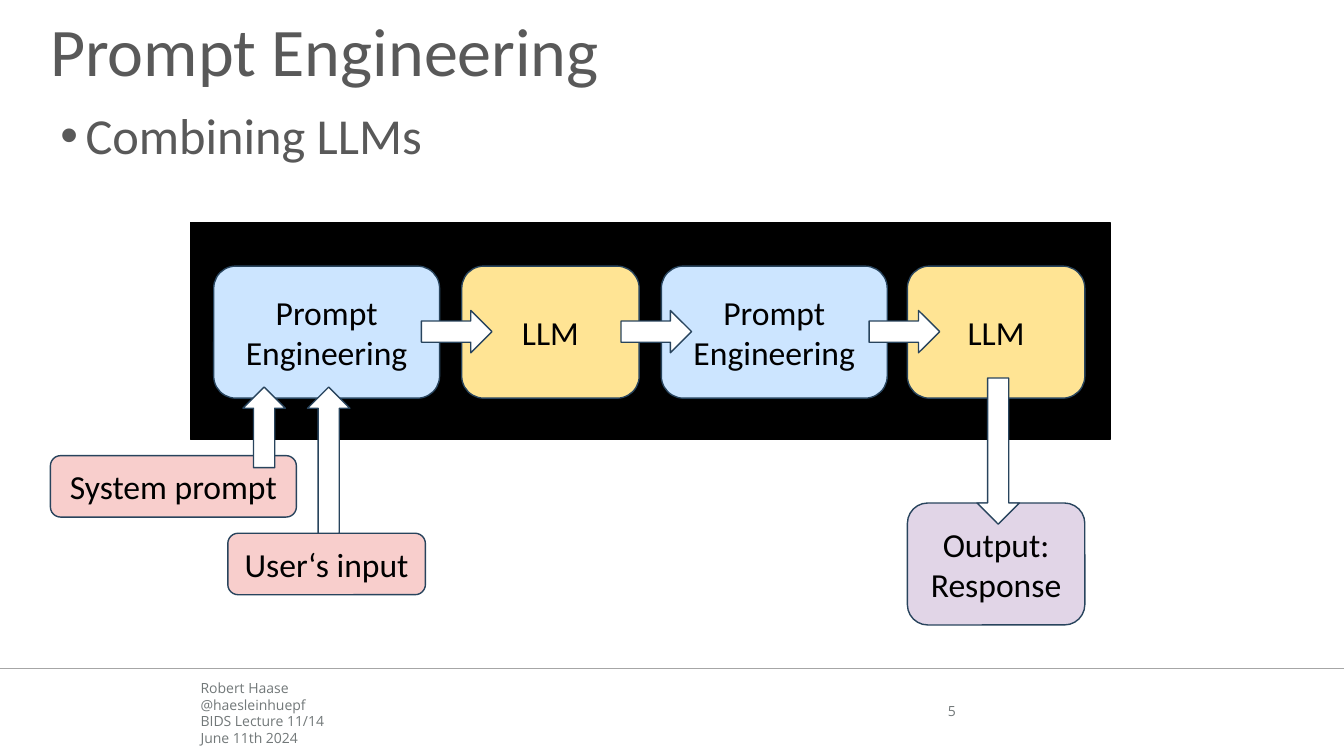
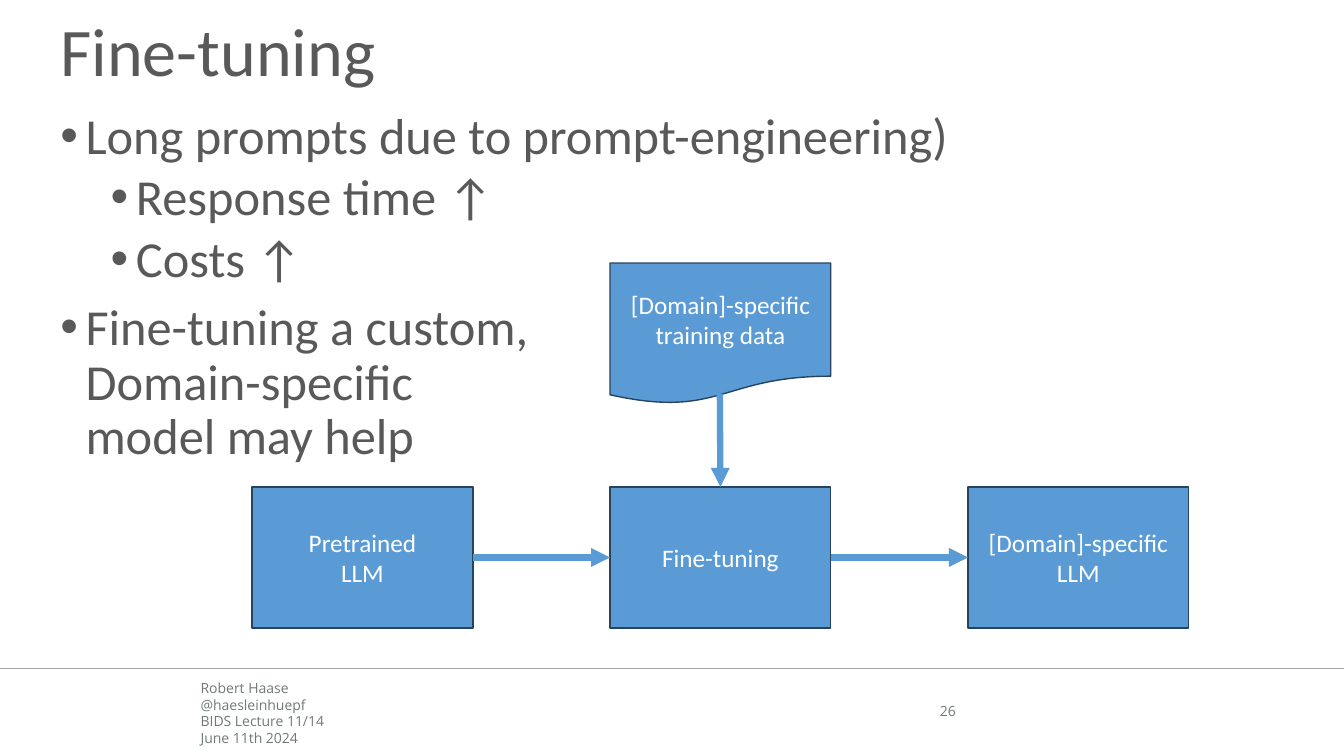
from pptx import Presentation
from pptx.dml.color import RGBColor
from pptx.enum import shapes, text
from pptx.oxml import ns, xmlchemy
from pptx import util as u

PX = 9144
WIDTH, HEIGHT = 1333, 750

WHITE = RGBColor(0xFF, 0xFF, 0xFF)
BLACK = RGBColor(0x00, 0x00, 0x00)
HEADING_GREY = RGBColor(0x59, 0x59, 0x59)
FOOTER_GREY = RGBColor(0x72, 0x78, 0x79)
RULE_GREY = RGBColor(0xA6, 0xA6, 0xA6)
OUTLINE = RGBColor(0x28, 0x44, 0x5D)
PROMPT_BLUE = RGBColor(0xCC, 0xE5, 0xFF)
MODEL_YELLOW = RGBColor(0xFF, 0xE4, 0x94)
INPUT_RED = RGBColor(0xF8, 0xCE, 0xCC)
OUTPUT_PURPLE = RGBColor(0xE1, 0xD5, 0xE7)
FLOW_BLUE = RGBColor(0x5B, 0x9B, 0xD5)

BODY_FONT = "Calibri"
FOOTER_FONT = "Open Sans"
FOOTER = ["Robert Haase", "@haesleinhuepf", "BIDS Lecture 11/14", "June 11th 2024"]
LEFT, CENTER, RIGHT = text.PP_ALIGN.LEFT, text.PP_ALIGN.CENTER, text.PP_ALIGN.RIGHT
TOP, MIDDLE = text.MSO_ANCHOR.TOP, text.MSO_ANCHOR.MIDDLE
AUTO = shapes.MSO_SHAPE


def px(*lengths):
    return [u.Emu(length * PX) for length in lengths]


def add_child(parent, tag, **attributes):
    child = xmlchemy.OxmlElement(tag)
    for name, value in attributes.items():
        child.set(name, str(value))
    parent.append(child)


def write_text(shape, lines, size, color, font=BODY_FONT, align=LEFT,
               anchor=TOP, spacing=None, inset=None):
    frame = shape.text_frame
    frame.word_wrap = True
    frame.vertical_anchor = anchor
    if inset is not None:
        frame.margin_left = frame.margin_right = inset
        frame.margin_top = frame.margin_bottom = inset
    for index, line in enumerate(lines):
        paragraph = frame.add_paragraph() if index else frame.paragraphs[0]
        paragraph.text = line
        paragraph.alignment = align
        if spacing is not None:
            paragraph.line_spacing = spacing
        for run in paragraph.runs:
            run.font.name = font
            run.font.size = u.Pt(size)
            run.font.color.rgb = color
    return frame


def add_text(slide, box, lines, **style):
    return write_text(slide.shapes.add_textbox(*px(*box)), lines, **style)


def add_bullets(slide, box, items):
    frame = add_text(slide, box, [line for line, _ in items],
                     size=36, color=HEADING_GREY, spacing=0.9)
    for index, (paragraph, (_, level)) in enumerate(zip(frame.paragraphs, items)):
        paragraph.level = level
        if index:
            paragraph.space_before = u.Pt(5 if level else 10)
        properties = paragraph._p.get_or_add_pPr()
        properties.set("marL", str((25 + 50 * level) * PX))
        properties.set("indent", str(-25 * PX))
        add_child(properties, "a:buFont", typeface="Arial")
        add_child(properties, "a:buChar", char="•")


def add_block(slide, kind, box, fill, outline=OUTLINE, lines=(), **style):
    shape = slide.shapes.add_shape(kind, *px(*box))
    shape.shadow.inherit = False
    shape.fill.solid()
    shape.fill.fore_color.rgb = fill
    shape.line.color.rgb = outline
    shape.line.width = u.Pt(1)
    if lines:
        write_text(shape, lines, align=CENTER, anchor=MIDDLE, **style)
    return shape


def add_line(slide, start, end, color, width, arrow=False):
    line = slide.shapes.add_connector(shapes.MSO_CONNECTOR.STRAIGHT, *px(*start, *end))
    line.line.color.rgb = color
    line.line.width = u.Pt(width)
    if arrow:
        add_child(line._element.spPr.find(ns.qn("a:ln")), "a:tailEnd", type="triangle")
    add_child(line._element.spPr, "a:effectLst")
    return line


def add_base(presentation, title, title_left, number):
    slide = presentation.slides.add_slide(presentation.slide_layouts[6])
    footer_style = dict(size=10, color=FOOTER_GREY, font=FOOTER_FONT,
                        spacing=u.Pt(12), inset=0)
    add_text(slide, (199, 674, 230, 67), FOOTER, **footer_style)
    add_line(slide, (0, 663), (WIDTH, 663), RULE_GREY, 1)
    add_text(slide, (857, 697, 91, 17), [str(number)], align=RIGHT, **footer_style)
    add_text(slide, (title_left, 18, 1253, 73), [title], size=48.6,
             color=HEADING_GREY, anchor=MIDDLE, spacing=0.9)
    return slide


def build_prompt_engineering(presentation):
    slide = add_base(presentation, "Prompt Engineering", 40, 5)
    add_block(slide, AUTO.RECTANGLE, (189, 221, 912, 215), BLACK, BLACK)
    add_bullets(slide, (50, 105, 1253, 73), [("Combining LLMs", 0)])

    prompt, model = "Prompt Engineering", "LLM"
    chain = [
        (prompt, 212, 224, PROMPT_BLUE),
        (model, 458, 176, MODEL_YELLOW),
        (prompt, 656, 224, PROMPT_BLUE),
        (model, 900, 176, MODEL_YELLOW),
    ]
    boxes = [(label, (left, 264, width, 131), fill) for label, left, width, fill in chain]
    boxes += [
        ("User‘s input", (226, 529, 196, 61), INPUT_RED),
        ("System prompt", (50, 452, 244, 61), INPUT_RED),
        ("Output: Response", (900, 499, 176, 121), OUTPUT_PURPLE),
    ]
    for label, box, fill in boxes:
        add_block(slide, AUTO.ROUNDED_RECTANGLE, box, fill,
                  lines=[label], size=24, color=BLACK)

    arrows = [(AUTO.RIGHT_ARROW, (left + width - 18, 308, 70, 42))
              for _, left, width, _ in chain[:-1]]
    arrows += [
        (AUTO.UP_ARROW, (241, 384, 42, 80)),
        (AUTO.UP_ARROW, (305, 384, 42, 145)),
        (AUTO.DOWN_ARROW, (969, 375, 42, 145)),
    ]
    for kind, box in arrows:
        add_block(slide, kind, box, WHITE)


def build_fine_tuning(presentation):
    slide = add_base(presentation, "Fine-tuning", 50, 26)
    add_bullets(slide, (50, 105, 1253, 539), [
        ("Long prompts due to prompt-engineering)", 0),
        ("Response time ↑", 1),
        ("Costs ↑", 1),
        ("Fine-tuning a custom,\vDomain-specific\vmodel may help", 0),
    ])

    def add_step(kind, column, top, lines):
        return add_block(slide, kind, (250 + 355 * column, top, 219, 140),
                         FLOW_BLUE, lines=lines, size=18, color=WHITE)

    labels = [["Pretrained", "LLM"], ["Fine-tuning"], ["[Domain]-specific LLM"]]
    steps = [add_step(AUTO.RECTANGLE, column, 483, lines)
             for column, lines in enumerate(labels)]
    add_step(AUTO.FLOWCHART_DOCUMENT, 1, 261, ["[Domain]-specific training data"])

    data_arrow = add_line(slide, (714, 391), (714, 483), FLOW_BLUE, 4.5, arrow=True)
    data_arrow.end_connect(steps[1], 0)
    for source, target in zip(steps, steps[1:]):
        arrow = add_line(slide, (0, 0), (0, 0), FLOW_BLUE, 4.5, arrow=True)
        arrow.begin_connect(source, 3)
        arrow.end_connect(target, 1)


def main():
    presentation = Presentation()
    presentation.slide_width, presentation.slide_height = px(WIDTH, HEIGHT)
    build_prompt_engineering(presentation)
    build_fine_tuning(presentation)
    presentation.save("out.pptx")


if __name__ == "__main__":
    main()
